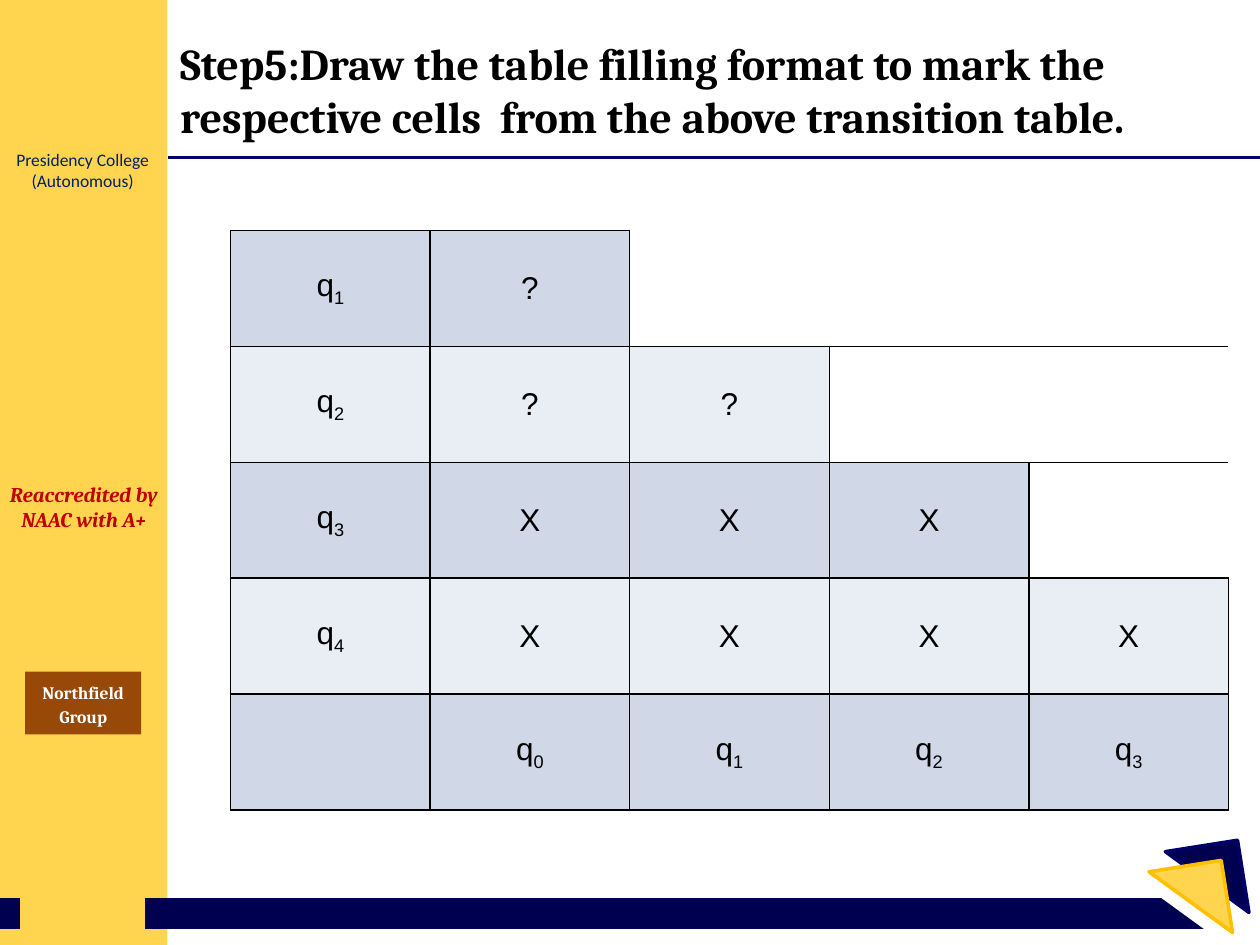
from lxml import etree
from pptx import Presentation
from pptx.dml.color import RGBColor
from pptx.enum import shapes, text
from pptx.oxml import ns
from pptx.util import Inches, Pt

COLORS = {
    "yellow": "FFD54F", "gold": "FFC000", "navy": "000051", "blue": "000066",
    "ink": "002060", "red": "C00000", "brown": "984807", "white": "FFFFFF",
    "black": "000000", "band_dark": "D0D8E8", "band_light": "E9EDF4",
}
RGB = {name: RGBColor.from_string(value) for name, value in COLORS.items()}
NO_STYLE = "{2D5ABB26-0587-4C30-8999-92F81FD0307C}"


def add_block(kind, box, fill, line=None):
    """Add a filled preset shape without shadow; outlined only if line is given."""
    sp = s.shapes.add_shape(kind, *[Inches(v) for v in box])
    sp.shadow.inherit = False
    sp.fill.solid()
    sp.fill.fore_color.rgb = RGB[fill]
    if line:
        sp.line.color.rgb = RGB[line]
        sp.line.width = Pt(2)
    else:
        sp.line.fill.background()
    return sp


def write(tf, lines, size, font, color, bold=False, italic=False):
    """Write centred paragraphs in one style."""
    tf.word_wrap = True
    tf.text = "\n".join(lines)
    for p in tf.paragraphs:
        p.alignment = text.PP_ALIGN.CENTER
        for r in p.runs:
            r.font.size, r.font.name = Pt(size), font
            r.font.bold, r.font.italic = bold, italic
            r.font.color.rgb = RGB[color]


prs = Presentation()
prs.slide_width, prs.slide_height = Inches(10), Inches(7.5)
s = prs.slides.add_slide(prs.slide_layouts[5])

# Side panel, footer bars and title rule
RECT = shapes.MSO_SHAPE.RECTANGLE
add_block(RECT, (0, 0, 1.33, 7.5), "yellow")
for x1, x2, y, color, width in [
    (1.15, 9.67, 7.25, "navy", 18),
    (0, 0.16, 7.25, "navy", 18),
    (1.33, 10, 1.25, "blue", 2.25),
]:
    line = s.shapes.add_connector(
        shapes.MSO_CONNECTOR.STRAIGHT, Inches(x1), Inches(y), Inches(x2), Inches(y))
    line.line.color.rgb = RGB[color]
    line.line.width = Pt(width)
    etree.SubElement(line._element.spPr, ns.qn("a:effectLst"))

# Corner triangles
for x, y, fill, outline in [
    (9.12, 6.96, "white", "white"),
    (9.29, 6.71, "navy", "blue"),
    (9.16, 6.87, "yellow", "gold"),
]:
    sp = add_block(shapes.MSO_SHAPE.ISOSCELES_TRIANGLE, (x, y, 0.58, 0.58), fill, outline)
    sp.adjustments[0] = 0
    sp.rotation = 261
    sp._element.spPr.xfrm.set("flipH", "1")

# Side panel labels
college = add_block(RECT, (0, 1.1, 1.31, 0.5), "yellow", "yellow")
write(college.text_frame, ["Presidency College", "(Autonomous)"], 10, "Calibri", "ink")

accreditation = s.shapes.add_textbox(Inches(-0.06), Inches(3.77), Inches(1.45), Inches(0.5))
write(accreditation.text_frame, ["Reaccredited by NAAC with A+"], 12, "Cambria", "red", True, True)

group = add_block(RECT, (0.2, 5.33, 0.92, 0.5), "brown")
write(group.text_frame, ["Northfield Group"], 10, "Cambria", "white", True)
group.text_frame.paragraphs[0].line_spacing = 1.15

# Title
title = s.shapes.title
title.left, title.top = Inches(1.33), Inches(0.25)
title.width, title.height = Inches(8.42), Inches(0.92)
write(title.text_frame,
      ["Step5:Draw the table filling format to mark the respective cells  "
       "from the above transition table."], 25.2, "Cambria", "black", True)
title.text_frame.paragraphs[0].alignment = text.PP_ALIGN.LEFT
title.text_frame.vertical_anchor = text.MSO_ANCHOR.MIDDLE

# Staircase table: a digit after q is a subscript
rows = [
    ["q1", "?"],
    ["q2", "?", "?"],
    ["q3", "X", "X", "X"],
    ["q4", "X", "X", "X", "X"],
    ["", "q0", "q1", "q2", "q3"],
]
n = len(rows)
frame = s.shapes.add_table(n, n, Inches(1.83), Inches(1.83), Inches(7.92), Inches(4.6))
table = frame.table
table.first_row = table.horz_banding = False
table._tbl.tblPr.find(ns.qn("a:tableStyleId")).text = NO_STYLE

for i, values in enumerate(rows):
    table.rows[i].height = Inches(0.92)
    if len(values) < n - 1:
        table.cell(i, len(values)).merge(table.cell(i, n - 1))
    for j in range(n):
        cell = table.cell(i, j)
        filled = j < len(values)
        sides = ("L", "R", "T", "B") if filled else ("L", "B") if j == len(values) else ("B",)
        tcPr = cell._tc.get_or_add_tcPr()
        for side in sides:
            ln = etree.SubElement(tcPr, ns.qn(f"a:ln{side}"), w=str(Pt(1)))
            solid = etree.SubElement(ln, ns.qn("a:solidFill"))
            etree.SubElement(solid, ns.qn("a:srgbClr"), val=COLORS["black"])
        if not filled:
            cell.fill.background()
            continue
        cell.fill.solid()
        cell.fill.fore_color.rgb = RGB["band_light" if i % 2 else "band_dark"]
        cell.vertical_anchor = text.MSO_ANCHOR.MIDDLE
        write(cell.text_frame, [values[j][:1]], 18, "Arial", "black")
        if values[j][1:]:
            r = cell.text_frame.paragraphs[0].add_run()
            r.text = values[j][1:]
            r.font.size, r.font.name = Pt(18), "Arial"
            r.font.color.rgb = RGB["black"]
            r.font._element.set("baseline", "-25000")

prs.save("out.pptx")
